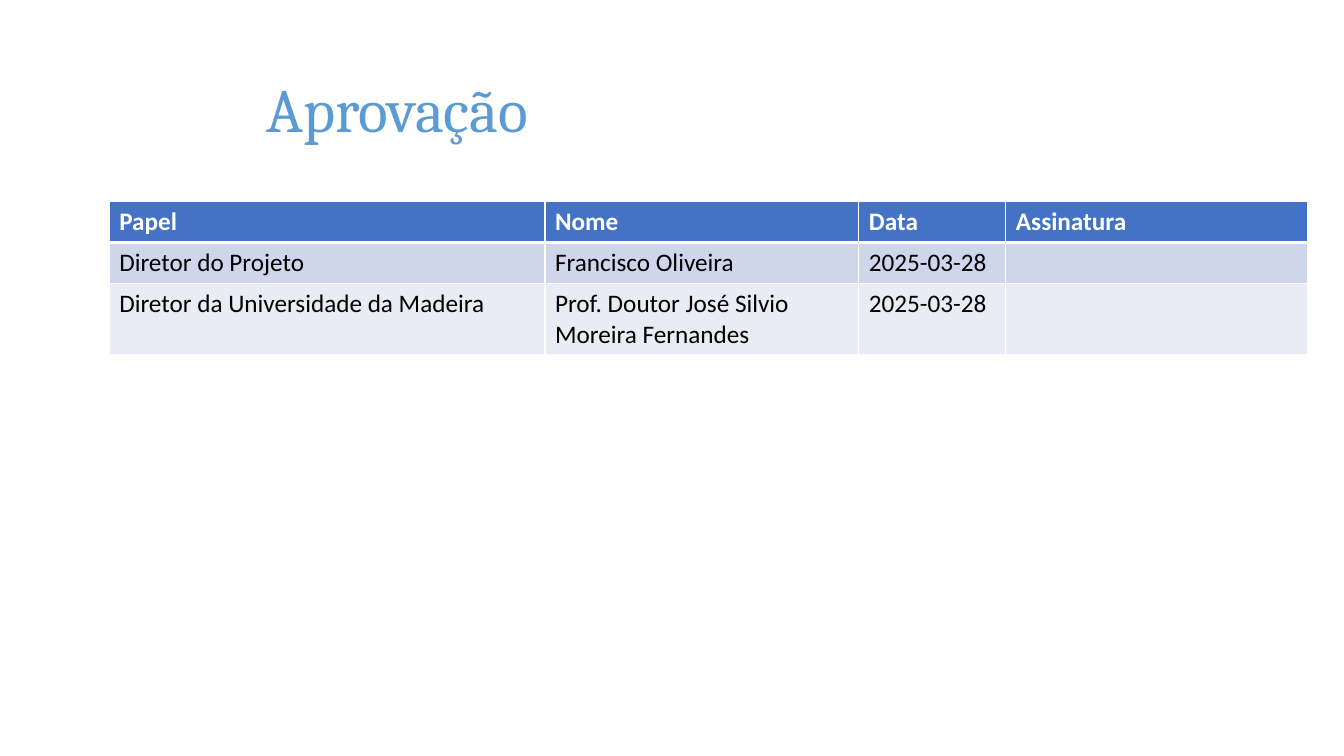
from dataclasses import dataclass

from lxml.etree import SubElement
from pptx import Presentation
from pptx.dml.color import RGBColor
from pptx.enum.text import MSO_ANCHOR, PP_ALIGN
from pptx.oxml.ns import qn
from pptx.table import _Cell
from pptx.text.text import TextFrame
from pptx.util import Pt

EMU_PER_PX = 9525
WHITE = "FFFFFF"


@dataclass(frozen=True)
class ApprovalRow:
    papel: str
    nome: str
    data: str
    assinatura: str
    height: int
    fill: str
    color: str = "000000"
    bold: bool = False
    top_border: int = 1
    bottom_border: int = 1

    def entries(self) -> tuple[str, ...]:
        return self.papel, self.nome, self.data, self.assinatura


APPROVALS = [
    ApprovalRow("Papel", "Nome", "Data", "Assinatura", 39, "4472C4",
                color=WHITE, bold=True, bottom_border=3),
    ApprovalRow("Diretor do Projeto", "Francisco Oliveira", "2025-03-28", "",
                39, "CFD5EA", top_border=3),
    ApprovalRow("Diretor da Universidade da Madeira",
                "Prof. Doutor José Silvio Moreira Fernandes", "2025-03-28", "",
                67, "E9EBF5"),
]
COLUMN_WIDTHS = [415, 299, 140, 287]


def px(length: int) -> int:
    return length * EMU_PER_PX


def rgb(value: str) -> RGBColor:
    return RGBColor.from_string(value)


def write_text(frame: TextFrame, text: str, *, font: str, size: int, color: str,
               bold: bool = False, line_spacing: float = 1.0) -> None:
    paragraph = frame.paragraphs[0]
    paragraph.alignment = PP_ALIGN.LEFT
    paragraph.line_spacing = line_spacing
    target = paragraph.add_run() if text else paragraph
    if text:
        target.text = text
    target.font.name = font
    target.font.size = Pt(size)
    target.font.bold = bold
    target.font.color.rgb = rgb(color)


def draw_borders(cell: _Cell, top: int, bottom: int) -> None:
    properties = cell._tc.get_or_add_tcPr()
    for side, width in {"lnL": 1, "lnR": 1, "lnT": top, "lnB": bottom}.items():
        line = SubElement(properties, qn(f"a:{side}"), w=str(Pt(width)))
        fill = SubElement(line, qn("a:solidFill"))
        SubElement(fill, qn("a:srgbClr"), val=WHITE)


def draw_cell(cell: _Cell, text: str, row: ApprovalRow) -> None:
    draw_borders(cell, row.top_border, row.bottom_border)
    cell.fill.solid()
    cell.fill.fore_color.rgb = rgb(row.fill)
    write_text(cell.text_frame, text, font="Calibri", size=18,
               color=row.color, bold=row.bold)


def main() -> None:
    presentation = Presentation()
    presentation.slide_width = px(1280)
    presentation.slide_height = px(720)
    slide = presentation.slides.add_slide(presentation.slide_layouts[5])

    heading = slide.shapes.title
    heading.left, heading.top = px(244), px(38)
    heading.width, heading.height = px(948), px(139)
    heading.text_frame.vertical_anchor = MSO_ANCHOR.MIDDLE
    write_text(heading.text_frame, "Aprovação", font="Cambria", size=44,
               color="5B9BD5", line_spacing=0.9)

    approvals = slide.shapes.add_table(
        len(APPROVALS), len(COLUMN_WIDTHS), px(104), px(192),
        px(sum(COLUMN_WIDTHS)), px(sum(row.height for row in APPROVALS))).table
    for column, width in zip(approvals.columns, COLUMN_WIDTHS):
        column.width = px(width)
    for table_row, row in zip(approvals.rows, APPROVALS):
        table_row.height = px(row.height)
        for cell, text in zip(table_row.cells, row.entries()):
            draw_cell(cell, text, row)

    presentation.save("out.pptx")


if __name__ == "__main__":
    main()
